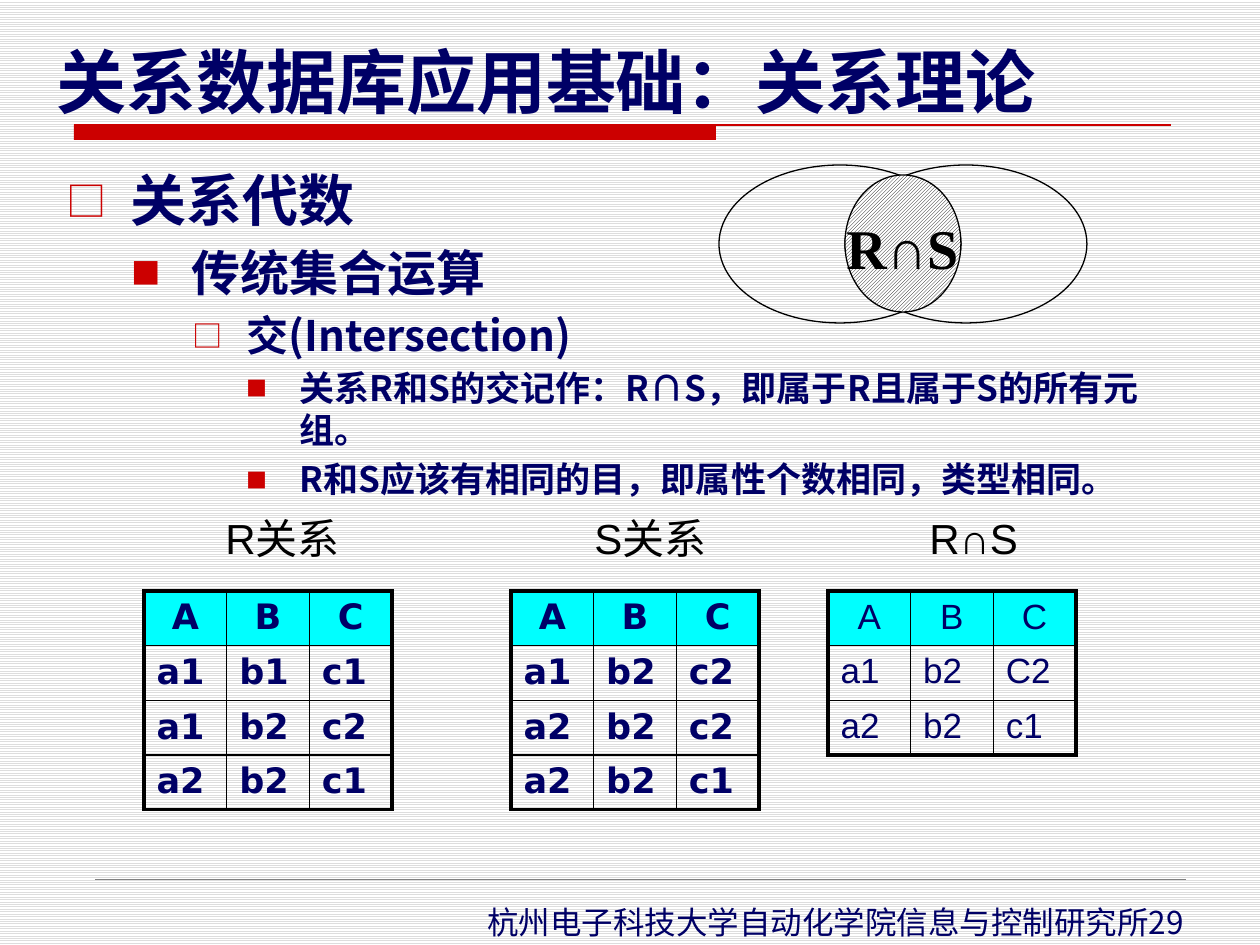
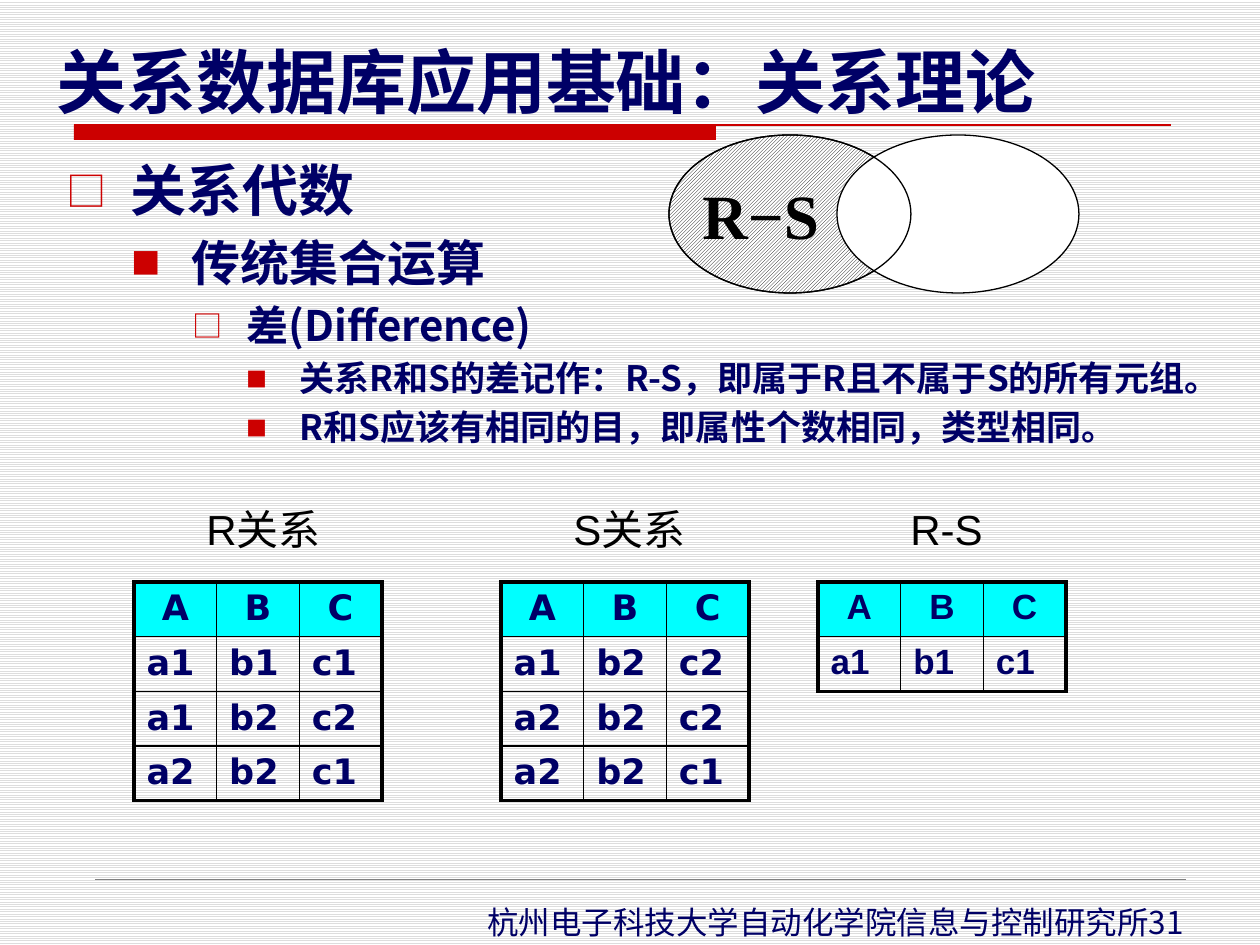
from lxml import etree
from pptx import Presentation
from pptx import util as u
from pptx.dml.color import RGBColor
from pptx.enum import dml, shapes, text
from pptx.oxml.ns import qn

COLORS = {
    "navy": "000066",
    "red": "CC0000",
    "cyan": "00FFFF",
    "black": "000000",
    "white": "FFFFFF",
    "stripe": "DDDDDD",
    "rule": "808080",
}
CJK, SANS, ARIAL, TIMES = "Noto Sans CJK SC", "DejaVu Sans", "Arial", "Times New Roman"
EMU_PER_PX = 914400 / 126
TITLE = "关系数据库应用基础：关系理论"
INSTITUTE = "杭州电子科技大学自动化学院信息与控制研究所"
SAME_DEGREE = "R和S应该有相同的目，即属性个数相同，类型相同。"

# level: (size, left margin, hanging indent, bullet, bullet scale)
LEVELS = [
    (32, 64, 64, "□", 72),
    (28, 125, 60, "■", 60),
    (24, 180, 54, "□", 72),
    (20, 233, 53, "■", 60),
]
TABLE_WIDTH = 248
ELLIPSE = (242, 158)
ATTRIBUTES = ["A", "B", "C"]
R_ROWS = [["a1", "b1", "c1"], ["a1", "b2", "c2"], ["a2", "b2", "c1"]]
S_ROWS = [["a1", "b2", "c2"], ["a2", "b2", "c2"], ["a2", "b2", "c1"]]


def px(length):
    return u.Emu(round(length * EMU_PER_PX))


def rgb(name):
    return RGBColor.from_string(COLORS[name])


def sub(parent, tag, **attributes):
    return etree.SubElement(parent, qn(tag), attributes)


def place(part, x, y, w, h):
    part.left, part.top, part.width, part.height = map(px, (x, y, w, h))


def add_run(paragraph, words, size, face, color, bold=False):
    run = paragraph.add_run()
    run.text = words
    font = run.font
    font.size, font.name, font.bold = u.Pt(size), face, bold
    font.color.rgb = rgb(color)
    latin = run._r.rPr.find(qn("a:latin"))
    latin.addnext(latin.makeelement(qn("a:ea"), {"typeface": face}))


def pattern(fill, kind, fore):
    fill.patterned()
    fill.pattern = kind
    fill.fore_color.rgb = rgb(fore)
    fill.back_color.rgb = rgb("white")


def add_label(slide, x, y, w, h, words, size, face, color="black", bold=False):
    frame = slide.shapes.add_textbox(*map(px, (x, y, w, h))).text_frame
    frame.word_wrap = True
    add_run(frame.paragraphs[0], words, size, face, color, bold)
    return frame.paragraphs[0]


def add_rule(slide, x1, x2, y, color, width):
    rule = slide.shapes.add_connector(
        shapes.MSO_CONNECTOR.STRAIGHT, px(x1), px(y), px(x2), px(y))
    rule.line.color.rgb = rgb(color)
    rule.line.width = u.Pt(width)
    sub(rule._element.spPr, "a:effectLst")


def add_frame(slide, number):
    pattern(slide.background.fill, dml.MSO_PATTERN.LIGHT_HORIZONTAL, "stripe")
    band = slide.shapes.add_shape(
        shapes.MSO_SHAPE.RECTANGLE, *map(px, (74, 125, 642, 15)))
    band.shadow.inherit = False
    band.fill.solid()
    band.fill.fore_color.rgb = rgb("red")
    band.line.fill.background()
    add_rule(slide, 74, 1171, 125, "red", 0.75)
    add_rule(slide, 95, 1186, 879, "rule", 0.25)

    title = slide.shapes.title
    place(title, 44, 26, 1181, 103)
    frame = title.text_frame
    frame.auto_size = text.MSO_AUTO_SIZE.NONE
    frame.vertical_anchor = text.MSO_ANCHOR.BOTTOM
    frame.paragraphs[0].alignment = text.PP_ALIGN.LEFT
    add_run(frame.paragraphs[0], TITLE, 40, SANS, "navy", True)

    footer = add_label(slide, 475, 897, 770, 48, f"{INSTITUTE}{number}", 18, CJK, "navy")
    footer.line_spacing = u.Pt(21.6)


def add_outline(slide, x, y, w, h, items):
    body = slide.placeholders[1]
    place(body, x, y, w, h)
    frame = body.text_frame
    frame.auto_size = text.MSO_AUTO_SIZE.NONE
    for index, (level, words) in enumerate(items):
        size, margin, hang, bullet, scale = LEVELS[level]
        paragraph = frame.add_paragraph() if index else frame.paragraphs[0]
        paragraph.level = level
        props = paragraph._p.get_or_add_pPr()
        props.set("marL", str(px(margin)))
        props.set("indent", str(-px(hang)))
        sub(sub(props, "a:buClr"), "a:srgbClr", val=COLORS["red"])
        sub(props, "a:buSzPct", val=str(scale * 1000))
        sub(props, "a:buFont", typeface=CJK)
        sub(props, "a:buChar", char=bullet)
        paragraph.line_spacing = u.Pt(size * 1.2)
        paragraph.space_before = u.Pt(size * 0.2 if index else 0)
        add_run(paragraph, words, size, CJK, "navy", True)


def add_borders(cell, outer_sides):
    props = cell._tc.get_or_add_tcPr()
    for side in "LRTB":
        width = 2.25 if side in outer_sides else 1
        border = sub(props, f"a:ln{side}", w=str(u.Pt(width)))
        sub(sub(border, "a:solidFill"), "a:srgbClr", val=COLORS["black"])


def add_relation(slide, x, y, height, name, name_dx, rows, face=SANS, bold=True):
    add_label(slide, x + name_dx, y - 85, 189, 63, name, 24, ARIAL)
    grid = [ATTRIBUTES, *rows]
    last_row, last_col = len(grid) - 1, len(ATTRIBUTES) - 1
    table = slide.shapes.add_table(
        len(grid), len(ATTRIBUTES), *map(px, (x, y, TABLE_WIDTH, height))).table
    table.first_row = table.horz_banding = False
    for column in table.columns:
        column.width = px(TABLE_WIDTH / len(ATTRIBUTES))
    for r, values in enumerate(grid):
        table.rows[r].height = px(height / len(grid))
        for c, value in enumerate(values):
            cell = table.cell(r, c)
            edges = {"L": c == 0, "R": c == last_col, "T": r == 0, "B": r == last_row}
            add_borders(cell, [side for side, outer in edges.items() if outer])
            paragraph = cell.text_frame.paragraphs[0]
            if r == 0:
                cell.fill.solid()
                cell.fill.fore_color.rgb = rgb("cyan")
                paragraph.alignment = text.PP_ALIGN.CENTER
            else:
                cell.fill.background()
            add_run(paragraph, value, 20, face, "navy", bold)


def add_ellipse(slide, x, y, w, h, look="empty"):
    ellipse = slide.shapes.add_shape(shapes.MSO_SHAPE.OVAL, *map(px, (x, y, w, h)))
    ellipse.shadow.inherit = False
    ellipse.line.color.rgb = rgb("black")
    ellipse.line.width = u.Pt(0.75)
    if look == "hatched":
        pattern(ellipse.fill, dml.MSO_PATTERN.LIGHT_UPWARD_DIAGONAL, "black")
    elif look == "white":
        ellipse.fill.solid()
        ellipse.fill.fore_color.rgb = rgb("white")
    else:
        ellipse.fill.background()


def add_intersection_venn(slide, x, y):
    add_ellipse(slide, x, y, *ELLIPSE)
    add_ellipse(slide, x + 126, y, *ELLIPSE)
    add_ellipse(slide, x + 126, y + 10, 116, 137, "hatched")
    add_label(slide, x + 115, y + 42, 158, 79, "R∩S", 32, TIMES, bold=True)


def add_difference_venn(slide, x, y):
    add_ellipse(slide, x, y, *ELLIPSE, "hatched")
    add_ellipse(slide, x + 168, y, *ELLIPSE, "white")
    add_label(slide, x + 21, y + 35, 158, 88, "R−S", 36, TIMES, bold=True)
    add_ellipse(slide, x, y, *ELLIPSE)


def new_slide(prs, number, operation, definition, outline_box):
    slide = prs.slides.add_slide(prs.slide_layouts[1])
    add_frame(slide, number)
    add_outline(slide, *outline_box, [
        (0, "关系代数"),
        (1, "传统集合运算"),
        (2, operation),
        (3, definition),
        (3, SAME_DEGREE),
    ])
    return slide


def add_operands(slide, x, y, r_dx, s_dx):
    add_relation(slide, x, y, 214, "R关系", r_dx, R_ROWS)
    add_relation(slide, x + 367, y, 218, "S关系", s_dx, S_ROWS)


def build_intersection(prs):
    slide = new_slide(prs, 29, "交(Intersection)",
                      "关系R和S的交记作：R∩S，即属于R且属于S的所有元组。",
                      (54, 159, 1131, 711))
    add_operands(slide, 144, 591, 69, 71)
    add_relation(slide, 828, 591, 164, "R∩S", 89,
                 [["a1", "b2", "C2"], ["a2", "b2", "c1"]], ARIAL, False)
    add_intersection_venn(slide, 719, 165)


def build_difference(prs):
    slide = new_slide(prs, 31, "差(Difference)",
                      "关系R和S的差记作：R-S，即属于R且不属于S的所有元组。",
                      (54, 149, 1176, 711))
    add_operands(slide, 134, 582, 60, 60)
    add_relation(slide, 818, 582, 109, "R-S", 80, [["a1", "b1", "c1"]], ARIAL)
    add_difference_venn(slide, 669, 135)


def main():
    prs = Presentation()
    prs.slide_width, prs.slide_height = px(1260), px(945)
    build_intersection(prs)
    build_difference(prs)
    prs.save("out.pptx")


if __name__ == "__main__":
    main()
